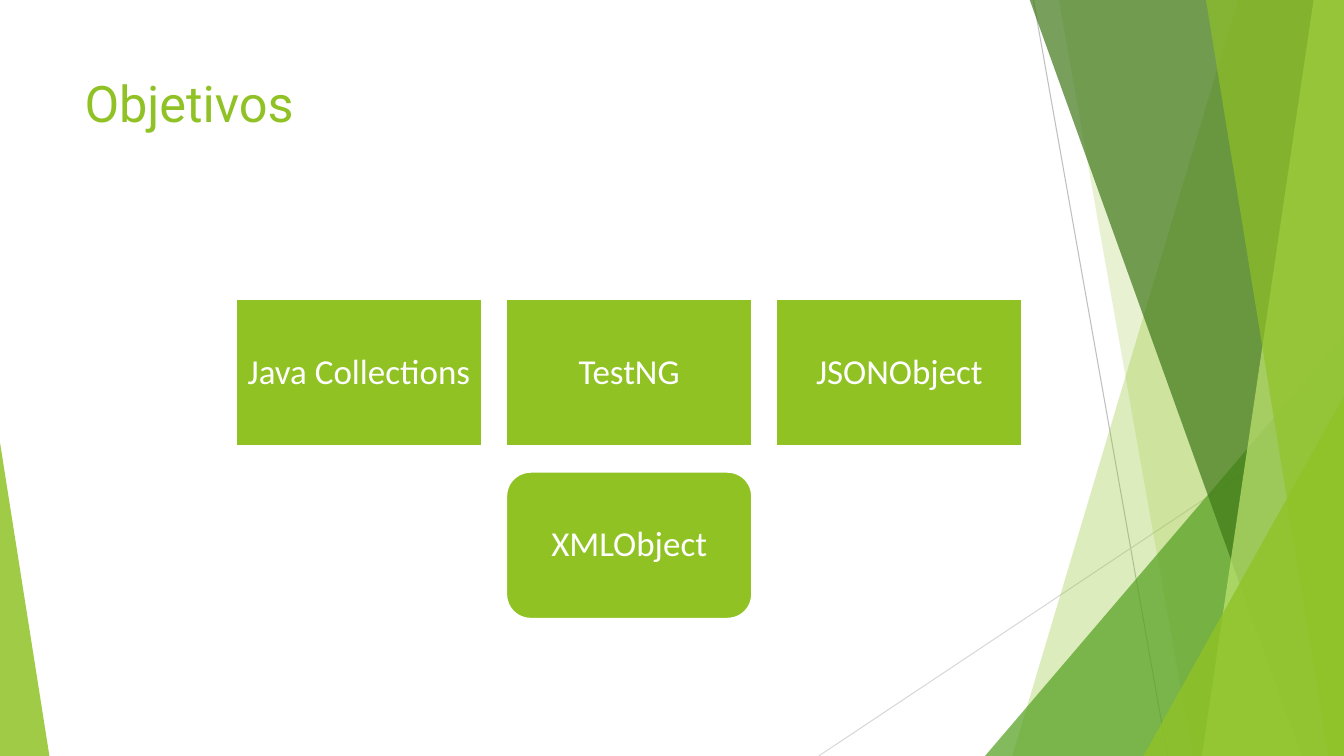
from lxml import etree
from pptx import Presentation
from pptx.dml.color import RGBColor
from pptx.enum import shapes, text
from pptx.oxml.ns import qn
from pptx.util import Inches, Pt

LIME = "90C226"
BOX = "90C223"
WHITE = "FFFFFF"
TOP, BASE, EDGE = -0.01, 7.5, 13.33
KIND = shapes.MSO_SHAPE


def tint(color, value):
    """Set a colour from a hex string."""
    color.rgb = RGBColor.from_string(value)


def paint(shape, value, alpha=100):
    """Fill a shape with a colour at a given opacity, without line or shadow."""
    shape.shadow.inherit = False
    shape.line.fill.background()
    shape.fill.solid()
    tint(shape.fill.fore_color, value)
    if alpha < 100:
        node = shape.fill._xPr.find(qn("a:solidFill"))[0]
        etree.SubElement(node, qn("a:alpha")).set("val", str(alpha * 1000))


def write(shape, words, size, font, color, align=text.PP_ALIGN.LEFT,
          anchor=text.MSO_ANCHOR.TOP, inset=0.05, space=1.0):
    """Write one formatted paragraph into a shape."""
    frame = shape.text_frame
    frame.word_wrap = True
    frame.vertical_anchor = anchor
    frame.margin_left = frame.margin_right = Inches(0.1)
    frame.margin_top = frame.margin_bottom = Inches(inset)
    para = frame.paragraphs[0]
    para.alignment = align
    para.line_spacing = space
    run = para.add_run()
    run.text = words
    run.font.size = Pt(size)
    run.font.name = font
    tint(run.font.color, color)


def line(slide, start, end, color):
    """Draw a thin straight line."""
    link = slide.shapes.add_connector(
        shapes.MSO_CONNECTOR.STRAIGHT, *map(Inches, start + end))
    link.line.width = Pt(0.75)
    tint(link.line.color, color)
    etree.SubElement(link._element.spPr, qn("a:effectLst"))


def band(slide, head, foot, color, alpha):
    """Draw a full-height band from a slanted left side to the right edge."""
    points = [(head, TOP), (EDGE, TOP), (EDGE, BASE), (foot, BASE)]
    points = [(Inches(x), Inches(y)) for x, y in points]
    pen = slide.shapes.build_freeform(*points[0])
    pen.add_line_segments(points[1:], close=True)
    paint(pen.convert_to_shape(), color, alpha)


def wedge(slide, left, top, width, tip, color, alpha):
    """Draw a triangle that stands on the bottom edge."""
    shape = slide.shapes.add_shape(
        KIND.ISOSCELES_TRIANGLE, Inches(left), Inches(top),
        Inches(width), Inches(BASE - top))
    shape.adjustments[0] = tip
    paint(shape, color, alpha)


def card(slide, col, row, words, kind=KIND.RECTANGLE):
    """Draw a labelled box at a place in the grid."""
    shape = slide.shapes.add_shape(
        kind, Inches(2.34 + 2.68 * col), Inches(2.97 + 1.71 * row),
        Inches(2.44), Inches(1.46))
    paint(shape, BOX)
    shape.line.width = Pt(1.5)
    tint(shape.line.color, WHITE)
    write(shape, words, 25, "Calibri", WHITE, align=text.PP_ALIGN.CENTER,
          anchor=text.MSO_ANCHOR.MIDDLE, inset=0.1, space=0.9)


def decor(slide):
    """Draw the green facets and thin lines at the sides."""
    line(slide, (10.25, 0), (11.58, BASE), "BFBFBF")
    line(slide, (EDGE, 4.03), (8.12, BASE), "D8D8D8")
    band(slide, 12.28, 10.04, LIME, 30)
    band(slide, 10.5, 11.83, LIME, 20)
    wedge(slide, 9.77, 3.33, 3.56, 1, "54A021", 72)
    band(slide, 10.21, 12.91, "3F7818", 70)
    band(slide, 13.03, 11.92, "BFE471", 70)
    band(slide, 11.96, 13.18, LIME, 65)
    wedge(slide, 11.34, 3.93, 1.99, 1, LIME, 80)
    wedge(slide, 0, 4.39, 0.49, 0, LIME, 85)


def main():
    """Build and save the slide."""
    deck = Presentation()
    deck.slide_width, deck.slide_height = Inches(EDGE), Inches(BASE)
    slide = deck.slides.add_slide(deck.slide_layouts[6])
    decor(slide)
    title = slide.shapes.add_textbox(
        Inches(0.74), Inches(0.67), Inches(9.4), Inches(1.44))
    write(title, "Objetivos", 36, "Roboto", LIME)
    for col, words in enumerate(("Java Collections", "TestNG", "JSONObject")):
        card(slide, col, 0, words)
    card(slide, 1, 1, "XMLObject", KIND.ROUNDED_RECTANGLE)
    deck.save("out.pptx")


if __name__ == "__main__":
    main()
